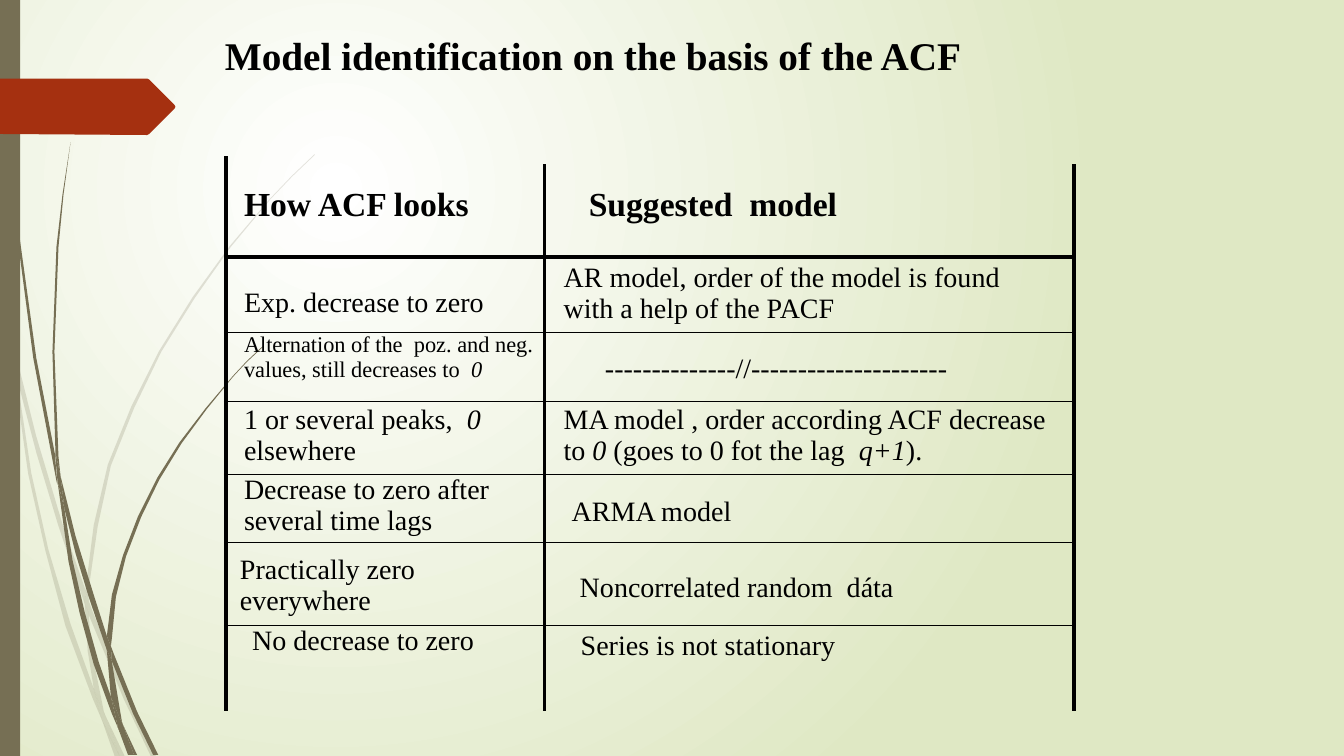
import itertools
from dataclasses import dataclass

import lxml.etree
import pptx
import pptx.dml.color
import pptx.enum.shapes
import pptx.enum.text
import pptx.oxml.ns
import pptx.util

PX = 9144
SLIDE_W, SLIDE_H = 1333, 750
FONT = "Times New Roman"
BLACK = pptx.dml.color.RGBColor(0x00, 0x00, 0x00)
WHITE = pptx.dml.color.RGBColor(0xFF, 0xFF, 0xFF)
PALE_GREEN = pptx.dml.color.RGBColor(0xDF, 0xE8, 0xC4)
OLIVE = pptx.dml.color.RGBColor(0x76, 0x6F, 0x54)
RUST = pptx.dml.color.RGBColor(0xA5, 0x30, 0x10)
THICK, THIN = 3, 1
COLUMN_EDGES = (224, 540, 1065)
ROW_EDGES = (163, 255, 330, 398, 471, 538, 621, 705)
RIGHT_MARGINS = (10, 26)
SPINE_TOP = 155

Point = tuple[int, int]
Outline = tuple[Point, ...]


@dataclass(frozen=True)
class Entry:
    left: int
    top: int
    phrases: tuple[str, ...]
    size: int = 20
    bold: bool = False


@dataclass(frozen=True)
class Wisp:
    strands: tuple[Outline, ...]
    opacity: int


ENTRIES = (
    (Entry(18, 22, ("How ACF looks",), 24, True),
     Entry(44, 22, ("Suggested  model",), 24, True)),
    (Entry(18, 30, ("Exp. decrease to zero",)),
     Entry(19, 5, ("AR model, order of the model is found with a help of the PACF",))),
    (Entry(18, 0, ("Alternation of the  poz. and neg. values, still decreases to  ", "0"), 16),
     Entry(60, 21, ("--------------//---------------------",))),
    (Entry(18, 3, ("1 or several peaks,  ", "0 ", "elsewhere")),
     Entry(19, 3, ("MA model , order according ACF decrease to ", "0",
                   " (goes to 0 fot the lag  ", "q+1", ")."))),
    (Entry(18, 0, ("Decrease to zero after several time lags",)),
     Entry(27, 22, ("ARMA model",))),
    (Entry(14, 12, ("Practically zero everywhere",)),
     Entry(35, 30, ("Noncorrelated random  dáta",))),
    (Entry(26, 0, ("No decrease to zero",)),
     Entry(36, 5, ("Series is not stationary",))),
)

FAINT_WISP = Wisp((
    ((11, 350), (9, 322), (0, 282), (0, 299), (10, 344)),
    ((58, 522), (84, 599), (85, 586), (62, 520), (36, 433), (14, 345), (17, 376), (36, 449)),
    ((92, 607), (88, 596), (88, 610), (123, 694), (150, 751), (155, 751), (127, 692)),
    ((119, 751), (124, 751), (105, 711)),
    ((93, 683), (70, 619), (48, 545), (31, 469), (17, 376), (11, 350), (28, 470),
     (45, 546), (65, 621), (92, 693), (101, 714), (99, 707)),
    ((84, 599), (87, 646), (93, 683), (96, 692), (105, 711), (103, 706), (91, 646),
     (88, 610), (88, 608)),
    ((88, 584), (97, 522), (110, 462), (133, 405), (160, 349), (193, 296), (229, 245),
     (268, 198), (290, 175), (312, 154), (312, 153), (289, 175), (268, 197), (228, 244),
     (191, 295), (158, 348), (130, 404), (107, 461), (93, 521), (85, 584), (85, 586),
     (88, 596)),
    ((101, 714), (114, 751), (119, 751)),
    ((88, 608), (88, 610), (88, 596), (85, 586), (84, 599)),
    ((96, 692), (93, 683), (99, 707), (101, 714), (119, 751), (105, 711)),
), 20)

SOLID_WISP = Wisp((
    ((7, 110), (17, 233), (33, 355), (56, 477), (57, 481), (55, 457), (55, 453), (36, 355),
     (19, 232), (8, 109), (5, 48), (4, 0), (3, 0), (4, 48)),
    ((88, 592), (106, 645), (106, 633), (106, 631), (93, 590), (75, 532), (60, 472),
     (64, 505), (75, 549)),
    ((113, 649), (110, 641), (111, 656), (132, 708), (152, 749), (157, 749), (136, 706)),
    ((110, 691), (98, 657), (84, 607), (72, 556), (64, 505), (57, 477), (68, 557),
     (79, 608), (93, 659), (111, 708), (117, 722), (116, 717)),
    ((60, 472), (58, 453), (54, 349), (58, 245), (63, 193), (70, 141), (62, 193),
     (56, 245), (52, 349), (55, 449)),
    ((133, 749), (136, 749), (122, 719)),
    ((57, 477), (64, 505), (60, 472), (55, 449), (55, 453)),
    ((111, 633), (115, 592), (125, 552), (140, 513), (158, 476), (180, 440), (205, 406),
     (231, 374), (245, 359), (261, 344), (260, 344), (245, 358), (231, 373), (204, 405),
     (178, 439), (156, 474), (137, 512), (122, 551), (111, 590), (106, 631), (110, 641)),
    ((117, 722), (127, 749), (131, 749)),
    ((106, 645), (110, 691), (116, 706), (122, 719), (121, 716), (111, 656), (109, 651)),
    ((106, 645), (109, 651), (111, 656), (110, 641), (106, 631), (106, 633)),
    ((116, 706), (110, 691), (116, 717), (117, 722), (130, 749), (133, 749), (122, 719)),
), 100)

BOOKMARK: Outline = ((173, 108), (148, 133), (146, 134), (0, 133), (0, 78), (146, 78),
                     (148, 79), (173, 104), (174, 106))


def add_child(parent, tag: str, **attributes: str):
    child = lxml.etree.SubElement(parent, pptx.oxml.ns.qn(tag))
    for key, setting in attributes.items():
        child.set(key, setting)
    return child


def apply_format(target, formats: dict) -> None:
    for key, setting in formats.items():
        setattr(target, key, setting)


def write_run(paragraph, text: str, size: int, bold: bool, italic: bool = False) -> None:
    run = paragraph.add_run()
    run.text = text
    apply_format(run.font, {"name": FONT, "size": pptx.util.Pt(size),
                            "bold": bold, "italic": italic})
    run.font.color.rgb = BLACK


def paint(shape, color: pptx.dml.color.RGBColor, opacity: int = 100) -> None:
    shape.shadow.inherit = False
    shape.fill.solid()
    shape.fill.fore_color.rgb = color
    shape.line.fill.background()
    if opacity < 100:
        tint = shape.element.spPr.find(".//" + pptx.oxml.ns.qn("a:srgbClr"))
        add_child(tint, "a:alpha", val=str(opacity * 1000))


def draw_outline(slide, outline: Outline, color: pptx.dml.color.RGBColor,
                 opacity: int = 100) -> None:
    builder = slide.shapes.build_freeform(*outline[0], scale=PX)
    builder.add_line_segments(outline[1:], close=True)
    paint(builder.convert_to_shape(), color, opacity)


def fill_background(slide) -> None:
    backdrop = slide.background.fill
    backdrop.gradient()
    for stop, color in zip(backdrop.gradient_stops, (WHITE, PALE_GREEN)):
        stop.color.rgb = color
    gradient = slide.element.find(".//" + pptx.oxml.ns.qn("a:gradFill"))
    gradient.remove(gradient.find(pptx.oxml.ns.qn("a:lin")))
    glow = add_child(gradient, "a:path", path="circle")
    add_child(glow, "a:fillToRect", l="50000", t="50000", r="100000", b="100000")


def draw_borders(cell, widths: dict[str, int]) -> None:
    properties = cell._tc.get_or_add_tcPr()
    for position, (side, width) in enumerate(widths.items()):
        border = add_child(properties, f"a:ln{side}", w=str(pptx.util.Pt(width)))
        if width:
            ink = add_child(border, "a:solidFill")
            add_child(ink, "a:srgbClr", val=str(BLACK))
        else:
            add_child(border, "a:noFill")
        properties.insert(position, border)


def write_entry(cell, entry: Entry, right_margin: int) -> None:
    apply_format(cell, {"margin_left": entry.left * PX, "margin_top": entry.top * PX,
                        "margin_right": right_margin * PX, "margin_bottom": 0,
                        "vertical_anchor": pptx.enum.text.MSO_ANCHOR.TOP})
    cell.fill.background()
    for index, phrase in enumerate(entry.phrases):
        write_run(cell.text_frame.paragraphs[0], phrase, entry.size, entry.bold, index % 2 == 1)


def draw_models(slide) -> None:
    left, right = COLUMN_EDGES[0], COLUMN_EDGES[-1]
    top, bottom = ROW_EDGES[0], ROW_EDGES[-1]
    models = slide.shapes.add_table(len(ENTRIES), 2, left * PX, top * PX,
                                    (right - left) * PX, (bottom - top) * PX).table
    apply_format(models, {"first_row": False, "horz_banding": False})
    for column, (start, end) in zip(models.columns, itertools.pairwise(COLUMN_EDGES)):
        column.width = (end - start) * PX
    for row, (start, end) in zip(models.rows, itertools.pairwise(ROW_EDGES)):
        row.height = (end - start) * PX
    rules = (0, THICK, *[THIN] * (len(ENTRIES) - 2), 0)
    for r, entries in enumerate(ENTRIES):
        for c, entry in enumerate(entries):
            cell = models.cell(r, c)
            write_entry(cell, entry, RIGHT_MARGINS[c])
            draw_borders(cell, {"L": THICK, "R": THICK, "T": rules[r], "B": rules[r + 1]})
    spine = slide.shapes.add_connector(pptx.enum.shapes.MSO_CONNECTOR.STRAIGHT,
                                       left * PX, SPINE_TOP * PX, left * PX, top * PX)
    spine.line.color.rgb = BLACK
    spine.line.width = pptx.util.Pt(THICK)
    add_child(spine.element.spPr, "a:effectLst")


def write_heading(slide) -> None:
    heading = slide.shapes.title
    apply_format(heading, {"left": 213 * PX, "top": 26 * PX,
                           "width": 922 * PX, "height": 57 * PX})
    apply_format(heading.text_frame, {"word_wrap": True,
                                      "vertical_anchor": pptx.enum.text.MSO_ANCHOR.TOP})
    paragraph = heading.text_frame.paragraphs[0]
    paragraph.alignment = pptx.enum.text.PP_ALIGN.LEFT
    write_run(paragraph, "Model identification on the basis of the ACF", 28, True)


def main() -> None:
    deck = pptx.Presentation()
    apply_format(deck, {"slide_width": SLIDE_W * PX, "slide_height": SLIDE_H * PX})
    slide = deck.slides.add_slide(deck.slide_layouts[5])
    fill_background(slide)
    for wisp in (FAINT_WISP, SOLID_WISP):
        for strand in wisp.strands:
            draw_outline(slide, strand, OLIVE, wisp.opacity)
    side_band = slide.shapes.add_shape(pptx.enum.shapes.MSO_SHAPE.RECTANGLE,
                                       0, 0, 20 * PX, SLIDE_H * PX)
    paint(side_band, OLIVE)
    draw_outline(slide, BOOKMARK, RUST)
    write_heading(slide)
    draw_models(slide)
    deck.save("out.pptx")


if __name__ == "__main__":
    main()
